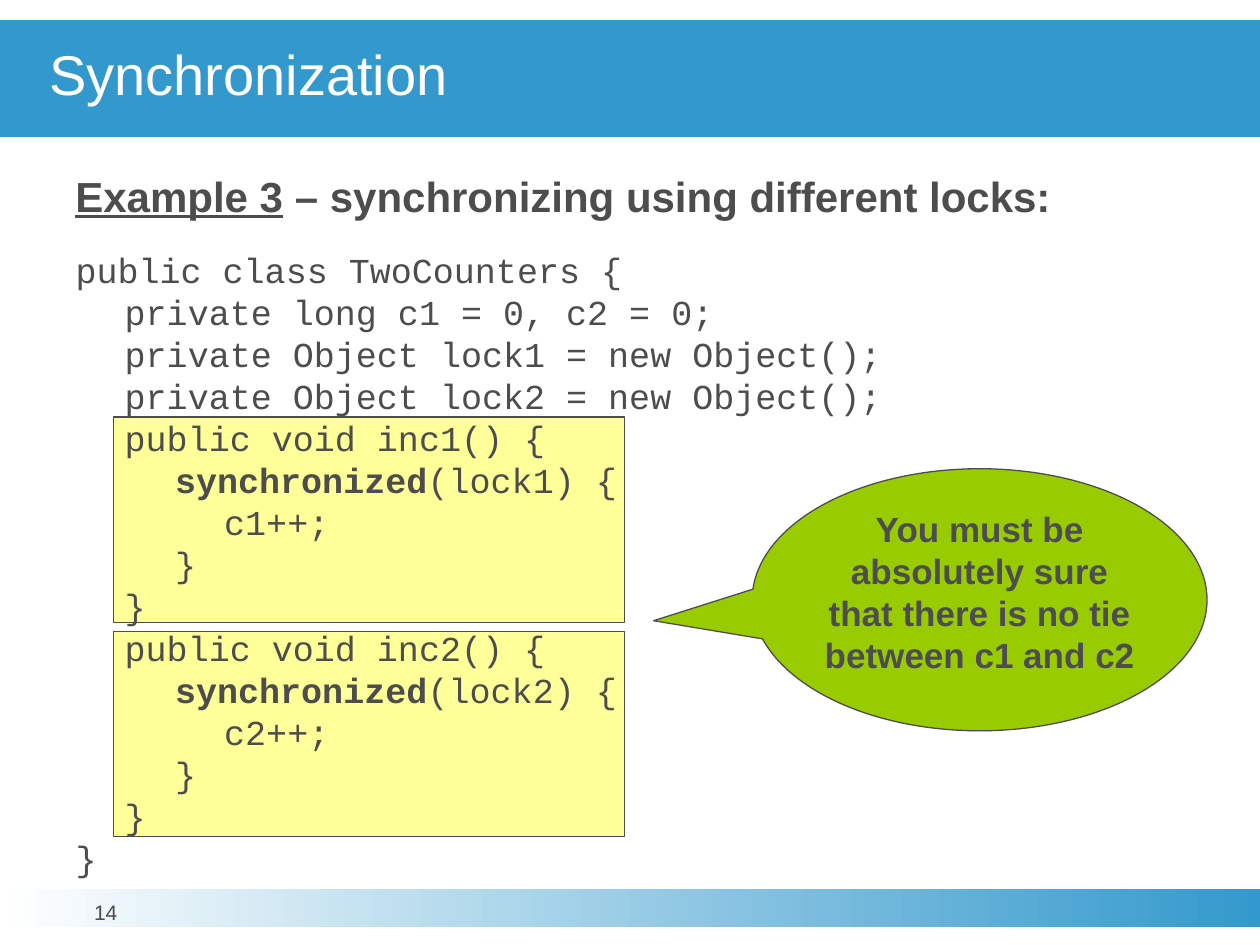
import pptx
import pptx.util
import pptx.dml.color
import pptx.enum.shapes
import pptx.enum.text
import pptx.oxml.ns
import lxml.etree

Inches = pptx.util.Inches
Pt = pptx.util.Pt
SHAPE = pptx.enum.shapes.MSO_SHAPE
ALIGN = pptx.enum.text.PP_ALIGN
ANCHOR = pptx.enum.text.MSO_ANCHOR
INK, BLUE, WHITE, YELLOW, GREEN = "4D4D4D", "3399CC", "FFFFFF", "FFFF99", "99CC00"
TABS = (0.39, 0.79, 1.18)
LINE = 24


def color(value):
    """Turn a hex string into a colour."""
    return pptx.dml.color.RGBColor.from_string(value)


def add_shape(s, kind, box, fill, line=None):
    """Add a flat preset shape in the given box."""
    sp = s.shapes.add_shape(kind, *map(Inches, box))
    sp.shadow.inherit = False
    sp.fill.solid()
    sp.fill.fore_color.rgb = color(fill)
    if line:
        sp.line.color.rgb = color(line)
        sp.line.width = Pt(0.75)
    else:
        sp.line.fill.background()
    return sp


def set_frame(tf, inset=(0, 0), anchor=ANCHOR.TOP):
    """Wrap a text frame and set its insets and anchor."""
    x, y = map(Inches, inset)
    formats = {"word_wrap": True, "vertical_anchor": anchor, "margin_left": x,
               "margin_right": x, "margin_top": y, "margin_bottom": y}
    for name, value in formats.items():
        setattr(tf, name, value)
    return tf


def add_runs(p, parts, size, ink=INK, font="Arial", **formats):
    """Add (text, formats) runs to a paragraph."""
    for text, extra in parts:
        r = p.add_run()
        r.text = text
        r.font.color.rgb = color(ink)
        base = {"name": font, "size": Pt(size)}
        for name, value in {**base, **formats, **extra}.items():
            setattr(r.font, name, value)


def add_tabs(p):
    """Give a paragraph the tab stops of the code."""
    qn = pptx.oxml.ns.qn
    stops = lxml.etree.SubElement(p._p.get_or_add_pPr(), qn("a:tabLst"))
    for pos in TABS:
        lxml.etree.SubElement(stops, qn("a:tab"), pos=str(Inches(pos)), algn="l")


def add_title(s, box, text):
    """Draw the title band."""
    sp = add_shape(s, SHAPE.RECTANGLE, box, BLUE)
    tf = set_frame(sp.text_frame, anchor=ANCHOR.MIDDLE)
    p = tf.paragraphs[0]
    p.alignment, p.line_spacing = ALIGN.LEFT, 0.85
    p._p.get_or_add_pPr().set("marL", str(Inches(0.39)))
    add_runs(p, [(text, {})], 32, WHITE)


def add_heading(s, box, lead, rest):
    """Write the heading with its underlined lead."""
    tf = set_frame(s.shapes.add_textbox(*map(Inches, box)).text_frame, (0.1, 0.05))
    parts = [(lead, {"underline": True}), (rest, {})]
    add_runs(tf.paragraphs[0], parts, 24, bold=True)


def method_lines(n):
    """Return the code lines of one counter method."""
    return [f"\tpublic void inc{n}() {{", f"\t\tsynchronized(lock{n}) {{",
            f"\t\t\tc{n}++;", "\t\t}", "\t}"]


def add_code(s, box):
    """Draw the method panels and the code listing."""
    left, top, width, height = box
    for offset in (1.34, 3.04):
        panel = (left + 0.3, top + offset, 4.06, 1.63)
        add_shape(s, SHAPE.RECTANGLE, panel, YELLOW, INK)
    lines = ["public class TwoCounters {", "\tprivate long c1 = 0, c2 = 0;",
             "\tprivate Object lock1 = new Object();",
             "\tprivate Object lock2 = new Object();",
             *method_lines(1), *method_lines(2), "}"]
    tf = set_frame(s.shapes.add_textbox(*map(Inches, box)).text_frame)
    for i, line in enumerate(lines):
        p = tf.add_paragraph() if i else tf.paragraphs[0]
        p.line_spacing = Pt(LINE)
        add_tabs(p)
        before, word, after = line.partition("synchronized")
        parts = [(before, {}), (word, {"bold": True}), (after, {})]
        add_runs(p, [part for part in parts if part[0]], 20, font="Courier New")


def add_callout(s, box, text):
    """Draw the speech bubble pointing at the methods."""
    sp = add_shape(s, SHAPE.OVAL_CALLOUT, box, GREEN, INK)
    sp.adjustments[0], sp.adjustments[1] = -0.717, 0.08
    p = set_frame(sp.text_frame).paragraphs[0]
    p.alignment, p.line_spacing = ALIGN.CENTER, Pt(LINE)
    add_runs(p, [(text, {})], 20, bold=True)


def add_footer(s, box, number):
    """Draw the gradient band and the slide number."""
    left, top, width, height = box
    sp = add_shape(s, SHAPE.RECTANGLE, box, BLUE)
    sp.fill.gradient()
    sp.fill.gradient_angle = 0
    for stop, value in zip(sp.fill.gradient_stops, (WHITE, BLUE)):
        stop.color.rgb = color(value)
    label = (left + 0.31, top + 0.1, 1.06, 0.31)
    tf = set_frame(s.shapes.add_textbox(*map(Inches, label)).text_frame)
    p = tf.paragraphs[0]
    p.alignment, p.line_spacing = ALIGN.CENTER, Pt(13)
    add_runs(p, [(number, {})], 12)


def main():
    """Build the slide and save it."""
    prs = pptx.Presentation()
    prs.slide_width, prs.slide_height = Inches(10), Inches(7.5)
    s = prs.slides.add_slide(prs.slide_layouts[6])
    add_footer(s, (0, 7.06, 10, 0.3), "14")
    add_code(s, (0.6, 1.97, 8.53, 5))
    add_title(s, (0, 0.16, 10, 0.93), "Synchronization")
    add_heading(s, (0.5, 1.3, 9, 0.52), "Example 3",
                " – synchronizing using different locks:")
    add_callout(s, (5.97, 3.72, 3.61, 2.08),
                "You must be absolutely sure that there is no tie between c1 and c2")
    prs.save("out.pptx")


if __name__ == "__main__":
    main()
